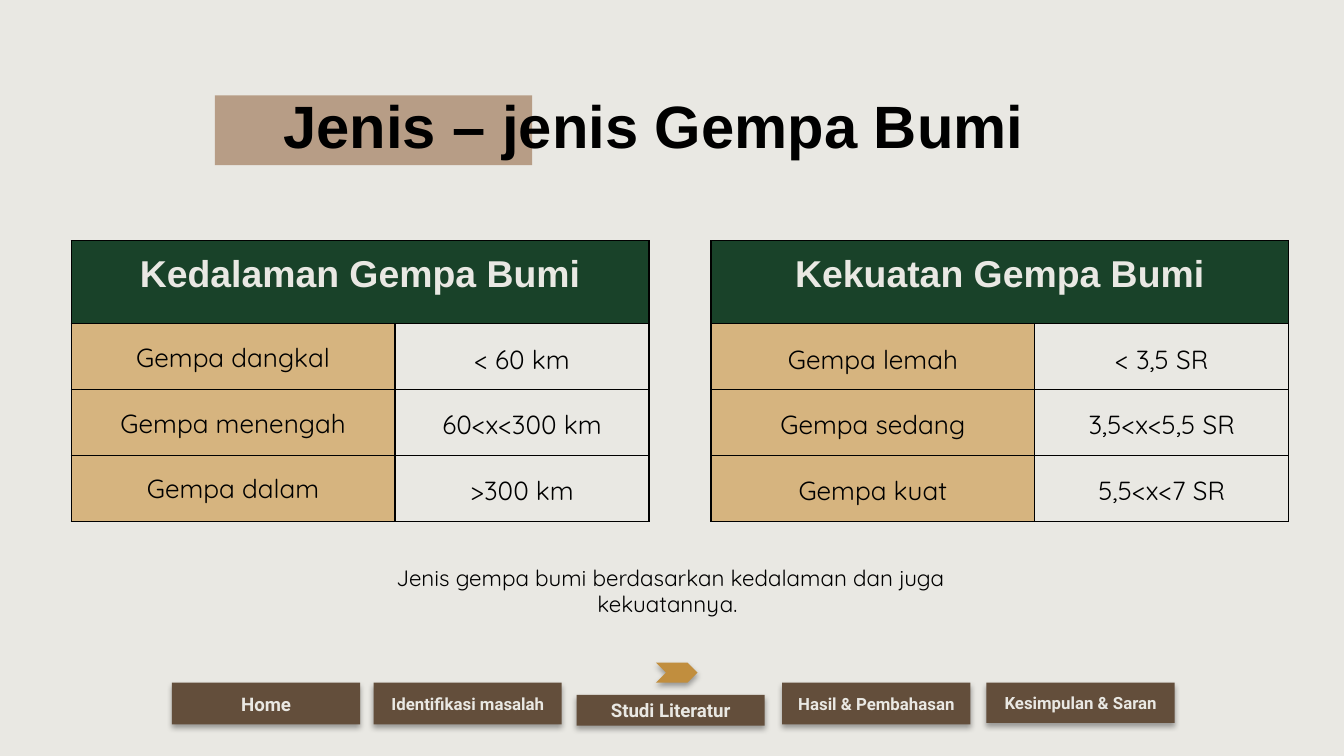
from lxml import etree
from pptx import Presentation, util as u
from pptx.dml.color import RGBColor
from pptx.enum import shapes, text
from pptx.oxml import ns

THEME = {
    "background": "E9E8E3", "ink": "000000", "light": "E9E8E3",
    "highlight": "B79D86", "header": "194229", "label": "D6B47F",
    "button": "634E3B", "marker": "C18E3E",
    "title_size": 32, "header_size": 20, "cell_size": 14, "caption_size": 12,
    "heading_font": "Arial", "body_font": "Quicksand", "button_font": "Roboto",
}

# Content
TITLE = "Jenis – jenis Gempa Bumi"
CAPTION = "Jenis gempa bumi berdasarkan kedalaman dan juga kekuatannya. "
BOX_INSETS = (0.1, 0.1, 0.1, 0.1)
TIGHT = {"insets": (0.01, 0.01, 0.01, 0), "spacing": 1.0}
LOOSE = {"insets": (0.07, 0, 0.07, 0), "spacing": 1.15}
TABLES = [
    {"left": 0.53, "heading": "Kedalaman Gempa Bumi", "label_layout": TIGHT,
     "rows": [("Gempa dangkal", "< 60 km"),
              ("Gempa menengah", "60<x<300 km"),
              ("Gempa dalam", ">300 km")]},
    {"left": 5.29, "heading": "Kekuatan Gempa Bumi", "label_layout": LOOSE,
     "rows": [("Gempa lemah", "< 3,5 SR"),
              ("Gempa sedang", "3,5<x<5,5 SR"),
              ("Gempa kuat", "5,5<x<7 SR")]},
]
TABLE_TOP, HEADER_HEIGHT, ROW_HEIGHT = 1.79, 0.62, 0.49
COLUMN_WIDTHS = (2.41, 1.89)
BUTTON_WIDTH = 1.4
BUTTONS = [  # label, left, top, height, type size
    ("Home", 1.28, 5.08, 0.31, 10),
    ("Identifikasi masalah", 2.78, 5.08, 0.31, 9),
    ("Studi Literatur", 4.29, 5.17, 0.23, 10),
    ("Hasil & Pembahasan", 5.82, 5.08, 0.31, 9),
    ("Kesimpulan & Saran", 7.34, 5.08, 0.3, 9),
]


def color(name):
    return RGBColor.from_string(THEME[name])


def set_insets(target, insets):
    (target.margin_left, target.margin_top,
     target.margin_right, target.margin_bottom) = map(u.Inches, insets)


def write(frame, words, font, size, ink, bold=False, centered=True, spacing=None):
    paragraph = frame.paragraphs[0]
    paragraph.text = words
    paragraph.alignment = text.PP_ALIGN.CENTER if centered else text.PP_ALIGN.LEFT
    if spacing:
        paragraph.line_spacing = spacing
    paragraph.font.name = THEME[font]
    paragraph.font.size = u.Pt(size)
    paragraph.font.bold = bold
    paragraph.font.color.rgb = color(ink)


def prepare_frame(shape, anchor):
    frame = shape.text_frame
    frame.word_wrap = True
    frame.vertical_anchor = anchor
    set_insets(frame, BOX_INSETS)
    return frame


def add_filled(slide, kind, box, fill, shadow=False):
    shape = slide.shapes.add_shape(kind, *map(u.Inches, box))
    shape.fill.solid()
    shape.fill.fore_color.rgb = color(fill)
    shape.line.fill.background()
    shape.shadow.inherit = False
    if shadow:
        effects = shape._element.spPr.find(ns.qn("a:effectLst"))
        outer = etree.SubElement(effects, ns.qn("a:outerShdw"), blurRad=str(u.Pt(3.1)),
                                 dist=str(u.Pt(1.8)), dir="5400000",
                                 algn="t", rotWithShape="0")
        tone = etree.SubElement(outer, ns.qn("a:srgbClr"), val=THEME["ink"])
        etree.SubElement(tone, ns.qn("a:alpha"), val="35000")
    return shape


def add_text(slide, box, anchor, words, *style, **options):
    shape = slide.shapes.add_textbox(*map(u.Inches, box))
    write(prepare_frame(shape, anchor), words, *style, **options)


def style_cell(cell, fill):
    if fill:
        cell.fill.solid()
        cell.fill.fore_color.rgb = color(fill)
    else:
        cell.fill.background()
    properties = cell._tc.get_or_add_tcPr()
    for index, side in enumerate(("lnL", "lnR", "lnT", "lnB")):
        border = etree.Element(ns.qn("a:" + side), w=str(u.Pt(0.75)))
        solid = etree.SubElement(border, ns.qn("a:solidFill"))
        etree.SubElement(solid, ns.qn("a:srgbClr"), val=THEME["ink"])
        properties.insert(index, border)


def add_category_table(slide, content):
    rows = content["rows"]
    height = HEADER_HEIGHT + ROW_HEIGHT * len(rows)
    box = (content["left"], TABLE_TOP, sum(COLUMN_WIDTHS), height)
    table = slide.shapes.add_table(len(rows) + 1, 2, *map(u.Inches, box)).table
    table.first_row = table.horz_banding = False
    for column, width in zip(table.columns, COLUMN_WIDTHS):
        column.width = u.Inches(width)
    for index, row in enumerate(table.rows):
        row.height = u.Inches(ROW_HEIGHT if index else HEADER_HEIGHT)

    # Heading across both columns
    heading = table.cell(0, 0)
    heading.merge(table.cell(0, 1))
    for column in range(2):
        style_cell(table.cell(0, column), "header")
    set_insets(heading, BOX_INSETS)
    write(heading.text_frame, content["heading"], "heading_font",
          THEME["header_size"], "light", bold=True)

    # Category and range cells
    layouts = (content["label_layout"], LOOSE)
    for row, entries in enumerate(rows, 1):
        for column, (words, layout) in enumerate(zip(entries, layouts)):
            cell = table.cell(row, column)
            style_cell(cell, None if column else "label")
            cell.vertical_anchor = text.MSO_ANCHOR.MIDDLE
            set_insets(cell, layout["insets"])
            write(cell.text_frame, words, "body_font", THEME["cell_size"], "ink",
                  spacing=layout["spacing"])


def main():
    presentation = Presentation()
    presentation.slide_width = u.Inches(10)
    presentation.slide_height = u.Inches(10 * 9 / 16)  # widescreen
    slide = presentation.slides.add_slide(presentation.slide_layouts[6])
    slide.background.fill.solid()
    slide.background.fill.fore_color.rgb = color("background")
    kinds, anchors = shapes.MSO_SHAPE, text.MSO_ANCHOR

    # Title over its highlight
    add_filled(slide, kinds.RECTANGLE, (1.6, 0.71, 2.36, 0.52), "highlight")
    add_text(slide, (2.01, 0.56, 6.18, 0.79), anchors.TOP, TITLE, "heading_font",
             THEME["title_size"], "ink", bold=True, centered=False)

    # Tables and caption
    for content in TABLES:
        add_category_table(slide, content)
    add_text(slide, (2.36, 4.18, 5.26, 0.43), anchors.MIDDLE, CAPTION, "body_font",
             THEME["caption_size"], "ink")

    # Navigation with marker above the current section
    add_filled(slide, kinds.CHEVRON, (4.88, 4.93, 0.31, 0.15), "marker", shadow=True)
    for label, left, top, height, size in BUTTONS:
        button = add_filled(slide, kinds.RECTANGLE, (left, top, BUTTON_WIDTH, height),
                            "button", shadow=True)
        write(prepare_frame(button, anchors.MIDDLE), label, "button_font", size,
              "light", bold=True)

    presentation.save("out.pptx")


if __name__ == "__main__":
    main()
